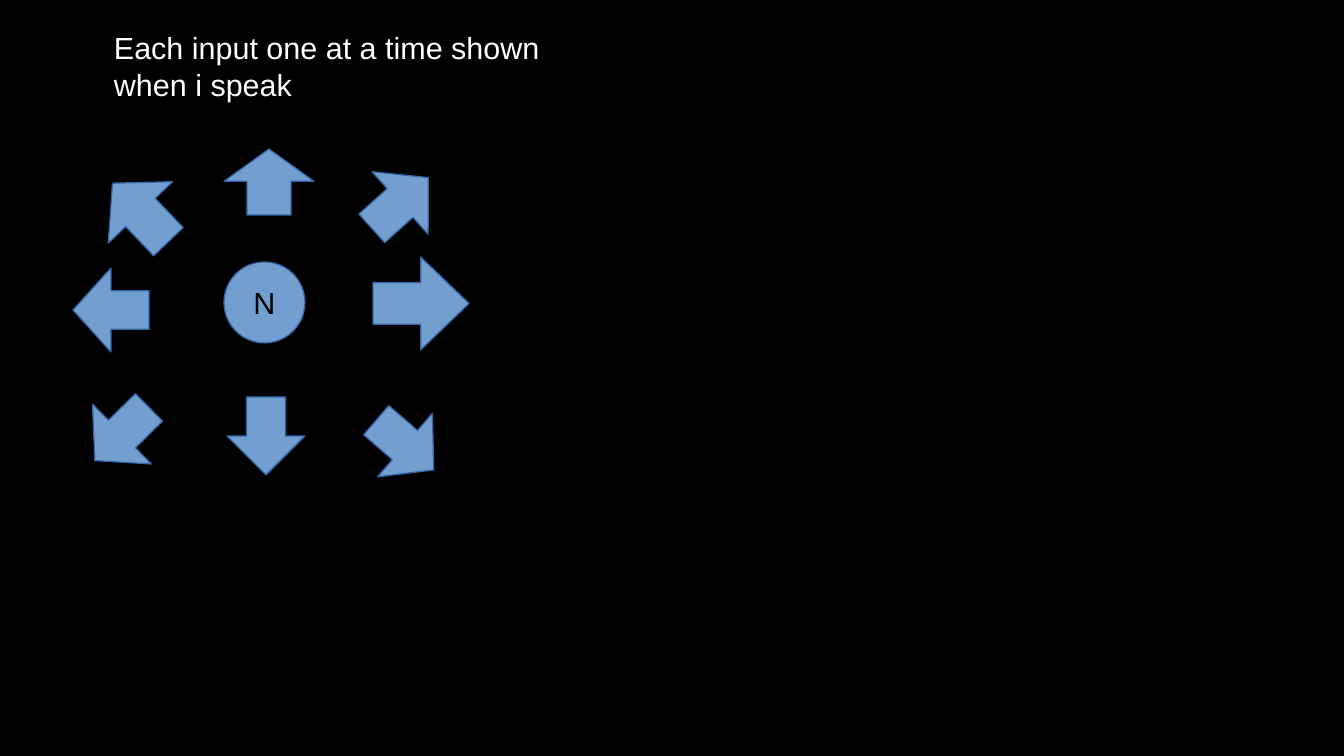
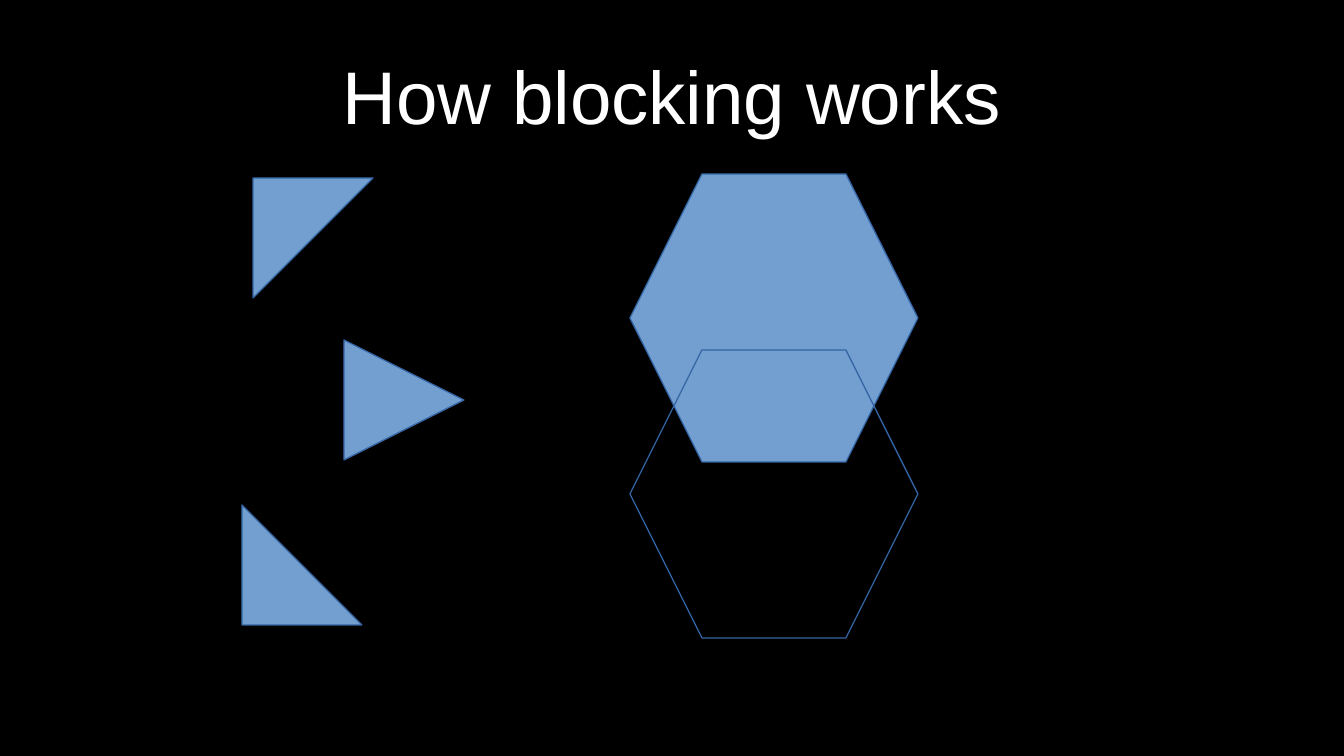
"""Build two black slides: directional inputs, and how blocking works."""
from pptx import Presentation
from pptx.dml.color import RGBColor
from pptx.enum.shapes import MSO_SHAPE
from pptx.enum.text import MSO_ANCHOR, PP_ALIGN
from pptx.util import Pt

PX = 914400 / 122
WIDTH, HEIGHT = 1344, 756
FONT = "Arial"
COLORS = {"background": "000000", "fill": "729FCF", "outline": "3465A4",
          "light": "FFFFFF", "dark": "000000"}
LEFT_ARROW, RIGHT_ARROW = MSO_SHAPE.LEFT_ARROW, MSO_SHAPE.RIGHT_ARROW
UP_ARROW, DOWN_ARROW = MSO_SHAPE.UP_ARROW, MSO_SHAPE.DOWN_ARROW
OVAL, HEXAGON = MSO_SHAPE.OVAL, MSO_SHAPE.HEXAGON
TRIANGLE, RIGHT_TRIANGLE = MSO_SHAPE.ISOSCELES_TRIANGLE, MSO_SHAPE.RIGHT_TRIANGLE
TOP, MIDDLE = MSO_ANCHOR.TOP, MSO_ANCHOR.MIDDLE
LEFT, CENTER = PP_ALIGN.LEFT, PP_ALIGN.CENTER

NOTE = "Each input one at a time shown when i speak"
NOTE_BOX = (102, 23, 471, 117)
NEUTRAL = "N"
NEUTRAL_BOX = (224, 262, 81, 81)
LEFT_HEAD = (0.46, 0.5)
INPUT_ARROWS = [
    (RIGHT_ARROW, (373, 257, 96, 93), 0, (0.45, 0.52)),
    (LEFT_ARROW, (73, 268, 76, 84), 0, LEFT_HEAD),
    (DOWN_ARROW, (227, 397, 78, 78), 0, (0.5, 0.5)),
    (UP_ARROW, (224, 149, 90, 66), 0, (0.49, 0.49)),
    (LEFT_ARROW, (362, 161, 76, 84), 138.1, LEFT_HEAD),
    (LEFT_ARROW, (367, 403, 76, 84), 220.8, LEFT_HEAD),
    (LEFT_ARROW, (84, 392, 76, 84), 315.5, LEFT_HEAD),
    (LEFT_ARROW, (100, 168, 81, 89), 46.3, LEFT_HEAD),
]

TITLE = "How blocking works"
TITLE_BOX = (67, 31, 1210, 127)
ATTACK_SIZE = 120
ATTACKS = [(RIGHT_TRIANGLE, 253, 178, 90), (RIGHT_TRIANGLE, 242, 505, 0),
           (TRIANGLE, 344, 340, 90)]
GUARD_LEFT, GUARD_SIZE = 630, 288
GUARDS = [(174, True), (350, False)]


def emu(box):
    return [round(length * PX) for length in box]


def rgb(name):
    return RGBColor.from_string(COLORS[name])


def add_slide(deck):
    slide = deck.slides.add_slide(deck.slide_layouts[6])
    slide.background.fill.solid()
    slide.background.fill.fore_color.rgb = rgb("background")
    return slide


def add_figure(slide, kind, box, rotation=0, adjustments=(), filled=True):
    figure = slide.shapes.add_shape(kind, *emu(box))
    figure.shadow.inherit = False
    figure.rotation = rotation
    for index, value in enumerate(adjustments):
        figure.adjustments[index] = value
    if filled:
        figure.fill.solid()
        figure.fill.fore_color.rgb = rgb("fill")
    else:
        figure.fill.background()
    figure.line.color.rgb = rgb("outline")
    figure.line.width = Pt(0)
    return figure


def write(holder, text, size, color, align, anchor):
    frame = holder.text_frame
    frame.word_wrap = True
    frame.vertical_anchor = anchor
    paragraph = frame.paragraphs[0]
    paragraph.text = text
    paragraph.alignment = align
    paragraph.font.name = FONT
    paragraph.font.size = Pt(size)
    paragraph.font.color.rgb = rgb(color)


def build_inputs(deck):
    slide = add_slide(deck)
    for kind, box, rotation, head in INPUT_ARROWS:
        add_figure(slide, kind, box, rotation, head)
    neutral = add_figure(slide, OVAL, NEUTRAL_BOX)
    write(neutral, NEUTRAL, 18, "dark", CENTER, MIDDLE)
    note = slide.shapes.add_textbox(*emu(NOTE_BOX))
    write(note, NOTE, 18, "light", LEFT, TOP)


def build_blocking(deck):
    slide = add_slide(deck)
    title = slide.shapes.add_textbox(*emu(TITLE_BOX))
    write(title, TITLE, 44, "light", CENTER, MIDDLE)
    for kind, left, top, rotation in ATTACKS:
        add_figure(slide, kind, (left, top, ATTACK_SIZE, ATTACK_SIZE), rotation)
    for top, filled in GUARDS:
        add_figure(slide, HEXAGON, (GUARD_LEFT, top, GUARD_SIZE, GUARD_SIZE),
                   filled=filled)


def main():
    deck = Presentation()
    deck.slide_width, deck.slide_height = emu((WIDTH, HEIGHT))
    build_inputs(deck)
    build_blocking(deck)
    deck.save("out.pptx")


if __name__ == "__main__":
    main()
